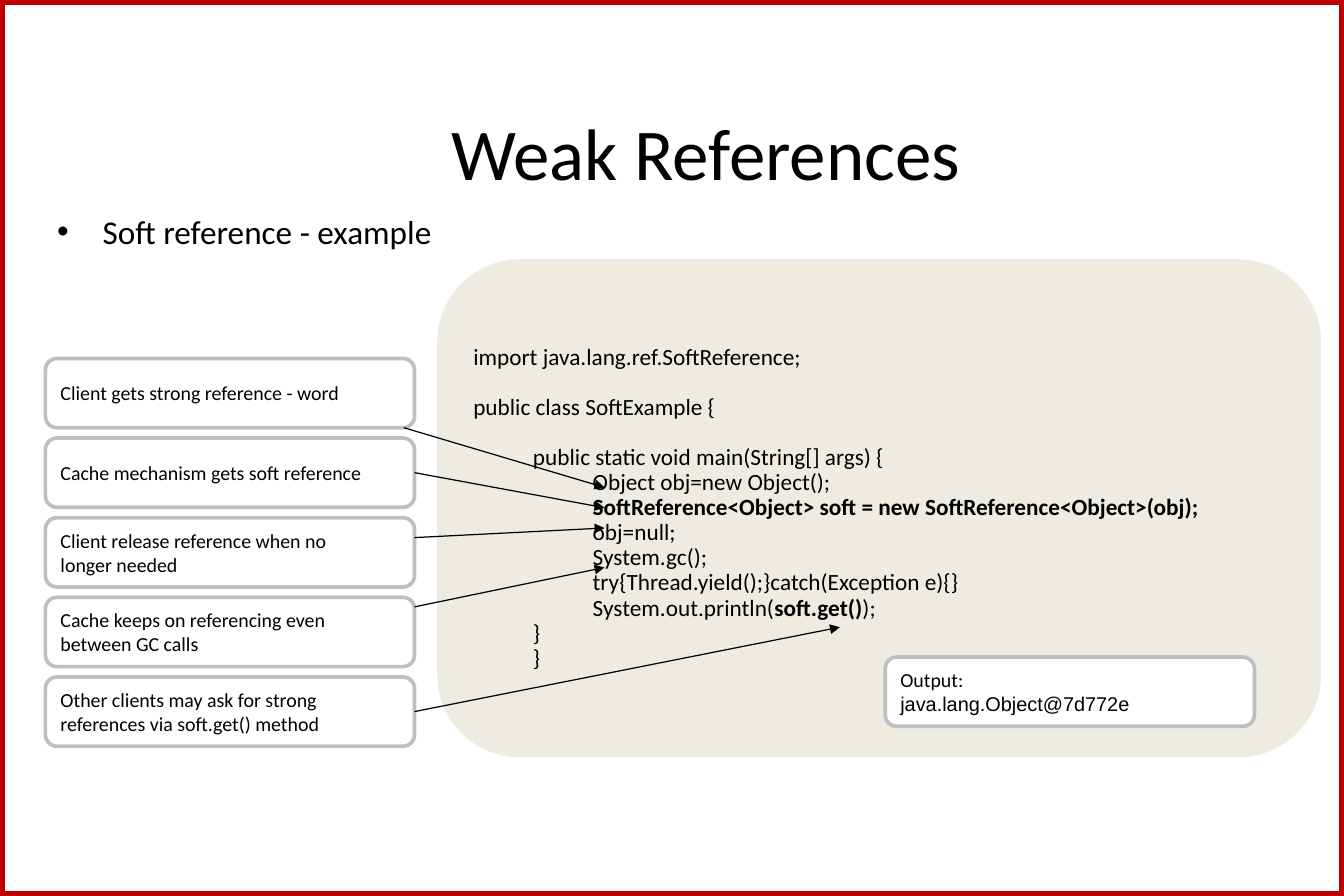
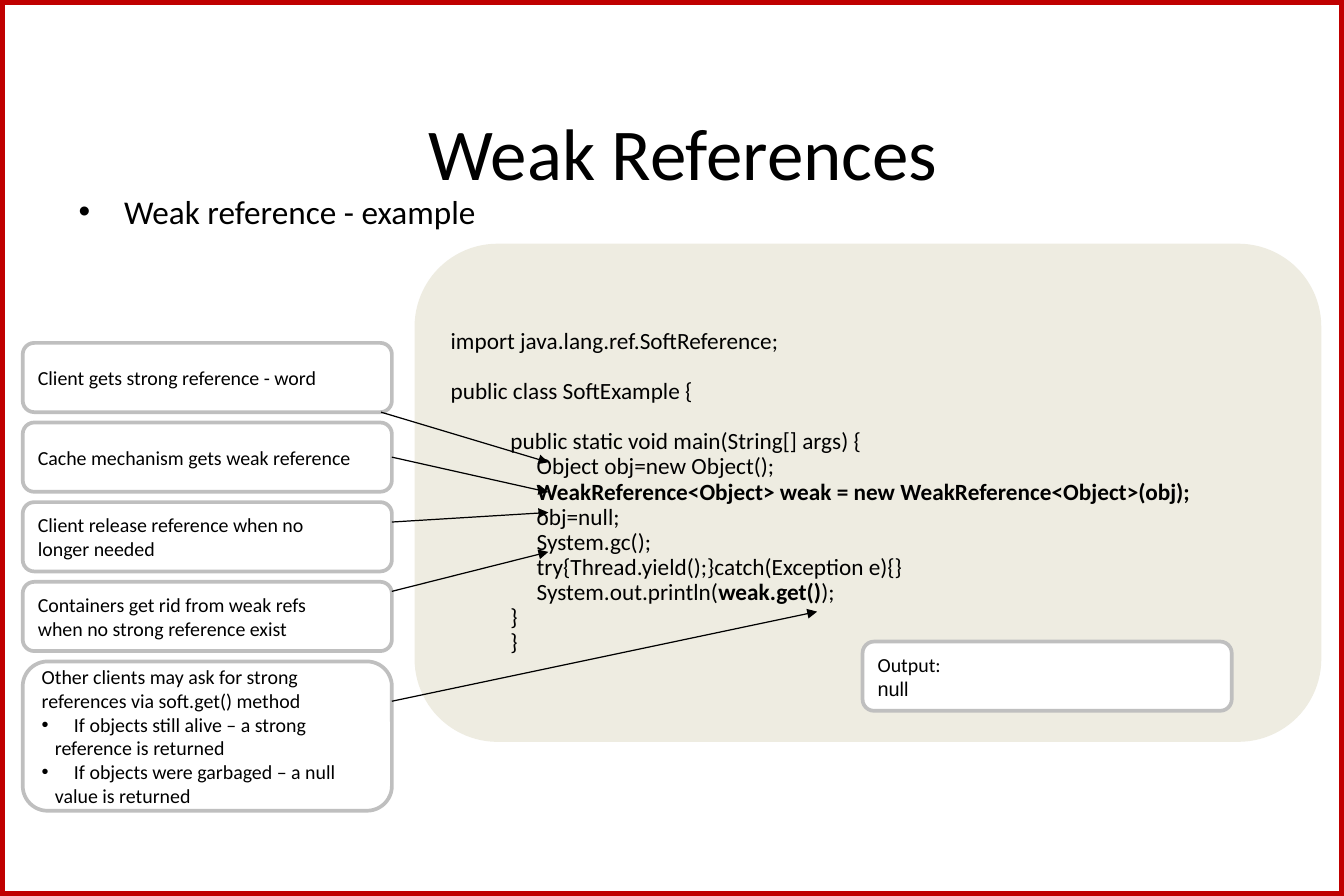
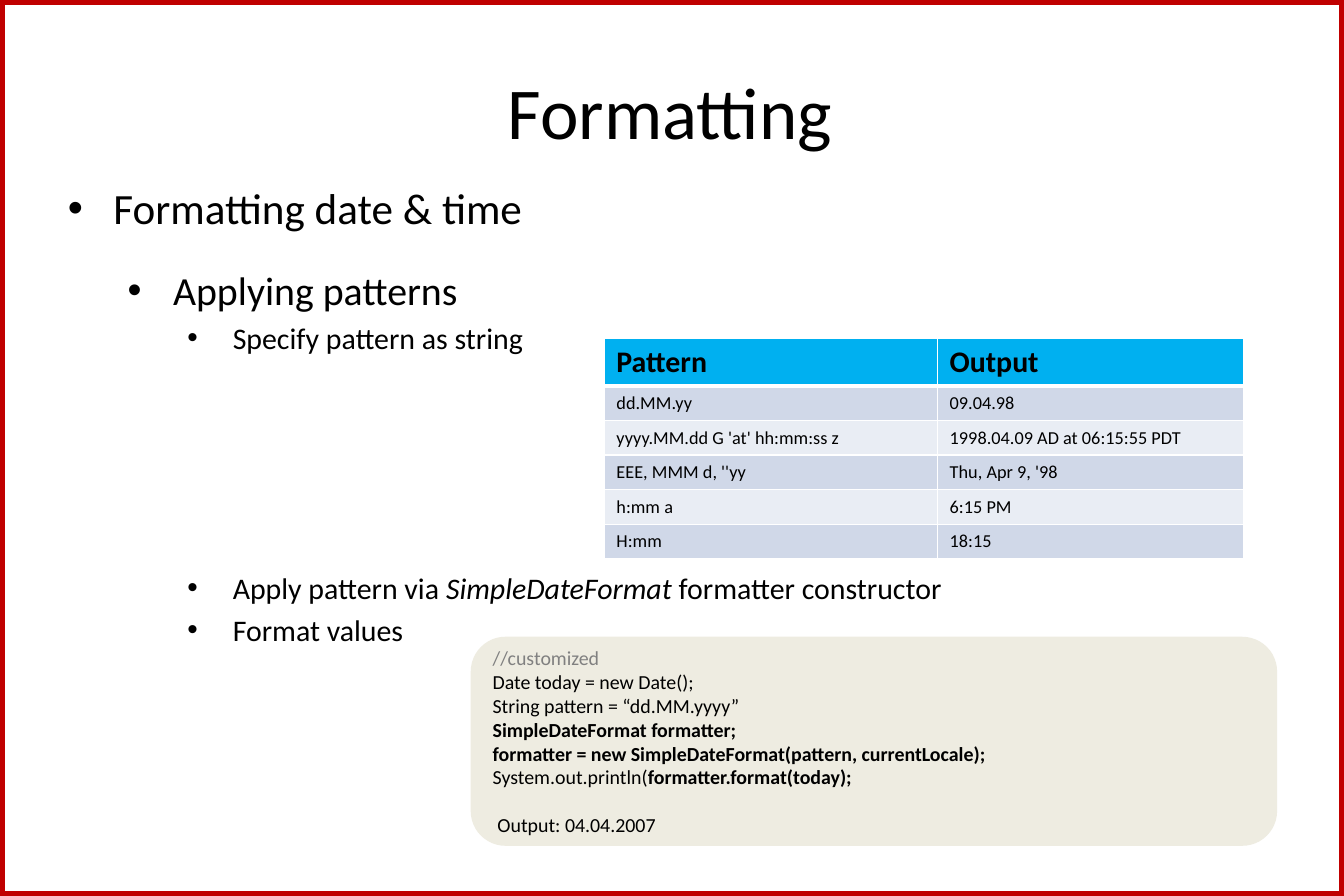
from lxml import etree
from pptx import Presentation
from pptx import util as u
from pptx.dml.color import RGBColor
from pptx.enum import shapes, text
from pptx.oxml import ns

BLACK, WHITE, RED = "000000", "FFFFFF", "C00000"
SAND, SILVER, GRAY = "EEECE1", "BFBFBF", "808080"
HEADER, BAND_DARK, BAND_LIGHT = "00B0F0", "D0D8E8", "E9EDF4"
ROUNDED = shapes.MSO_SHAPE.FLOWCHART_ALTERNATE_PROCESS
BOX_WIDTH, BOX_HEIGHT, BOX_STEP = 3.09, 0.58, 2 / 3


def paint(color_format, color):
    color_format.rgb = RGBColor.from_string(color)


def add_xml(parent, tag, **attributes):
    return etree.SubElement(parent, ns.qn(tag), attributes)


def line(*spans, **layout):
    return spans, layout


def bold(words):
    return words, {"bold": True}


def add_bullet(para):
    properties = para._p.get_or_add_pPr()
    add_xml(properties, "a:buFont", typeface="Arial")
    add_xml(properties, "a:buChar", char="•")


def set_indent(para, left, first):
    properties = para._p.get_or_add_pPr()
    properties.set("marL", str(u.Inches(left)))
    properties.set("indent", str(u.Inches(first)))


def write_span(para, words, font):
    span = para.add_run()
    span.text = words
    values = {"name": "Calibri", "color": BLACK, **font}
    paint(span.font.color, values.pop("color"))
    values["size"] = u.Pt(values["size"])
    for key, value in values.items():
        setattr(span.font, key, value)


def write(frame, lines, spacing=1.0, align=text.PP_ALIGN.LEFT, **font):
    for index, (spans, layout) in enumerate(lines):
        para = frame.add_paragraph() if index else frame.paragraphs[0]
        set_indent(para, layout.get("left", 0), layout.get("first", 0))
        if layout.get("bullet"):
            add_bullet(para)
        formats = {
            "alignment": align,
            "line_spacing": spacing,
            "space_before": u.Pt(layout.get("before", 0)),
        }
        for key, value in formats.items():
            setattr(para, key, value)
        for span in spans:
            words, changes = (span, {}) if isinstance(span, str) else span
            write_span(para, words, {**font, "size": layout.get("size", font.get("size")), **changes})


def add_box(page, kind, place, fill=None, outline=None, width=2.25):
    box = page.shapes.add_shape(kind, *map(u.Inches, place))
    box.shadow.inherit = False
    if fill:
        box.fill.solid()
        paint(box.fill.fore_color, fill)
    else:
        box.fill.background()
    if outline:
        paint(box.line.color, outline)
        box.line.width = u.Pt(width)
    else:
        box.line.fill.background()
    box.text_frame.word_wrap = True
    return box


def add_callout(page, place, lines):
    box = add_box(page, ROUNDED, place, WHITE, SILVER)
    write(box.text_frame, lines, size=12)
    return box


def add_code(page, place, lines, size, spacing=1.0):
    panel = add_box(page, ROUNDED, place, SAND)
    write(panel.text_frame, lines, spacing, size=size)


def add_outline(page, place, lines):
    box = page.shapes.add_textbox(*map(u.Inches, place))
    box.text_frame.word_wrap = True
    write(box.text_frame, lines, size=20)


def add_arrow(page, start, end):
    arrow = page.shapes.add_connector(
        shapes.MSO_CONNECTOR.STRAIGHT, *map(u.Inches, (*start, *end)))
    paint(arrow.line.color, BLACK)
    arrow.line.width = u.Pt(0.75)
    add_xml(arrow.line._get_or_add_ln(), "a:tailEnd", type="triangle")
    add_xml(arrow.element.spPr, "a:effectLst")
    return arrow


def add_page(deck, title, place):
    page = deck.slides.add_slide(deck.slide_layouts[5])
    holder = page.shapes.title
    for key, value in zip(("left", "top", "width", "height"), place):
        setattr(holder, key, u.Inches(value))
    frame = holder.text_frame
    frame.auto_size = text.MSO_AUTO_SIZE.NONE
    frame.vertical_anchor = text.MSO_ANCHOR.MIDDLE
    write(frame, [line(title)], align=text.PP_ALIGN.CENTER, size=44)
    return page


def add_border_to_layout(page):
    border = add_box(page, shapes.MSO_SHAPE.RECTANGLE, (0, 0, 11.25, 7.5), None, RED, 5.5)
    border.element.nvSpPr.cNvPr.set("id", "20")
    page.slide_layout.shapes.element.append(border.element)


def reference_code(kind, name, body):
    statements = [
        ("Object obj=new Object();",),
        (bold(f"{kind}<Object> {name} = new {kind}<Object>(obj);"),),
        ("obj=null;",),
        ("System.gc();",),
        ("try{Thread.yield();}catch(Exception e){}",),
        ("System.out.println(", bold(f"{name}.get()"), ");"),
    ]
    return [
        line("import java.lang.ref.SoftReference;"),
        line("public class SoftExample {", before=15),
        line("public static void main(String[] args) {", left=0.5, before=15),
        *(line(*spans, left=body) for spans in statements),
        line("}", left=0.5),
        line("}", left=0.5),
    ]


def add_reference_page(deck, left, top, heading, code, callouts, output, target, first_end, last_height):
    page = add_page(deck, "Weak References", (left + 0.09, 0.83, 10.88, 0.88))
    words, place = heading
    add_outline(page, (*place, 10.12, 0.45), [line(words, left=0.38, first=-0.38, bullet=True)])
    panel_left = left + 3.28
    add_code(page, (panel_left, top - 0.83, 11.06 - panel_left, 4.17), code, 14, 0.9)

    boxes = []
    for index, lines in enumerate(callouts):
        height = last_height if index == len(callouts) - 1 else BOX_HEIGHT
        place = (left, top + index * BOX_STEP, BOX_WIDTH, height)
        boxes.append(add_callout(page, place, lines))
    add_callout(page, (left + 7.03, top + 2.5, BOX_WIDTH, BOX_HEIGHT),
                [line("Output:"), line((output, {"name": "Arial"}))])

    right = left + BOX_WIDTH
    arrows = [
        (left + 3, 0.58, target, first_end),
        (right, 0.92, target, 1.25),
        (right, 1.5, target, 1.42),
        (right, 2.08, target, 1.75),
        (right, 3, left + 6.65, 2.25),
    ]
    for box, (x1, y1, x2, y2) in zip(boxes, arrows):
        arrow = add_arrow(page, (x1, top + y1), (x2, top + y2))
        middle = box.top + box.height / 2
        if abs(middle - u.Inches(top + y1)) < u.Inches(0.05):
            arrow.begin_connect(box, 3)
    return page


def set_cell_borders(cell, **widths):
    properties = cell._tc.get_or_add_tcPr()
    for index, side in enumerate(("lnL", "lnR", "lnT", "lnB")):
        edge = etree.Element(ns.qn(f"a:{side}"), w=str(u.Pt(widths.get(side, 1))))
        add_xml(add_xml(edge, "a:solidFill"), "a:srgbClr", val=WHITE)
        properties.insert(index, edge)


def add_pattern_table(page, rows):
    table = page.shapes.add_table(
        len(rows), 2, *map(u.Inches, (5.06, 2.83, 5.35, 1.85))).table
    for column, width in zip(table.columns, (2.79, 2.56)):
        column.width = u.Inches(width)
    for index, values in enumerate(rows):
        header = index == 0
        table.rows[index].height = u.Inches(0.4 if header else 0.29)
        fill = HEADER if header else (BAND_LIGHT, BAND_DARK)[index % 2]
        for cell, value in zip(table.rows[index].cells, values):
            cell.fill.solid()
            paint(cell.fill.fore_color, fill)
            cell.vertical_anchor = text.MSO_ANCHOR.TOP if header else text.MSO_ANCHOR.MIDDLE
            write(cell.text_frame, [line(value)], size=18 if header else 11, bold=header)
            set_cell_borders(cell, lnT=3 if index == 1 else 1, lnB=3 if header else 1)


def add_formatting_page(deck):
    page = add_page(deck, "Formatting", (0.55, 0.3, 10.12, 1.25))
    third = {"left": 1.38, "first": -0.38, "bullet": True, "size": 18}
    add_outline(page, (0.47, 1.47, 10.69, 4.1), [
        line("Formatting date & time", left=0.38, first=-0.38, bullet=True, size=26),
        line("Applying patterns", left=0.88, first=-0.38, bullet=True, size=24, before=19.5),
        line("Specify pattern as string", before=3.6, **third),
        line("Apply pattern via ", ("SimpleDateFormat", {"italic": True}),
             " formatter constructor", before=129.3, **third),
        line("Format values", before=3.6, **third),
    ])
    add_pattern_table(page, [
        ("Pattern", "Output"),
        ("dd.MM.yy", "09.04.98"),
        ("yyyy.MM.dd G 'at' hh:mm:ss z", "1998.04.09 AD at 06:15:55 PDT"),
        ("EEE, MMM d, ''yy", "Thu, Apr 9, '98"),
        ("h:mm a", "6:15 PM"),
        ("H:mm", "18:15"),
    ])
    add_code(page, (3.94, 5.33, 6.75, 1.75), [
        line(("//customized", {"color": GRAY})),
        line("Date today = new Date();"),
        line("String pattern = “dd.MM.yyyy”"),
        line(bold("SimpleDateFormat formatter;")),
        line(bold("formatter = new SimpleDateFormat(pattern, currentLocale);")),
        line("System.out.println(", bold("formatter.format(today);")),
        line("Output: 04.04.2007", left=0.04, before=14.5),
    ], 12)


def main():
    deck = Presentation()
    deck.slide_width, deck.slide_height = u.Inches(11.25), u.Inches(7.5)

    strong = [line("Client gets strong reference - word")]
    release = [line("Client release reference when no"), line("longer needed")]
    others = [line("Other clients may ask for strong"), line("references via soft.get() method")]
    outcome = {"left": 0.27, "first": -0.27, "bullet": True}

    soft_page = add_reference_page(
        deck, 0.38, 3, ("Soft reference - example", (0.38, 1.72)),
        reference_code("SoftReference", "soft", 1),
        [strong,
         [line("Cache mechanism gets soft reference")],
         release,
         [line("Cache keeps on referencing even"), line("between GC calls")],
         others],
        "java.lang.Object@7d772e", target=5.06, first_end=1.08, last_height=BOX_HEIGHT)
    add_border_to_layout(soft_page)

    add_reference_page(
        deck, 0.19, 2.87, ("Weak reference - example", (0.56, 1.55)),
        reference_code("WeakReference", "weak", 0.72),
        [strong,
         [line("Cache mechanism gets weak reference")],
         release,
         [line("Containers get rid from weak refs"), line("when no strong reference exist")],
         others + [
             line("If objects still alive – a strong", **outcome),
             line("reference is returned", left=0.11),
             line("If objects were garbaged – a null", **outcome),
             line("value is returned", left=0.11)]],
        "null", target=4.59, first_end=1, last_height=1.25)

    add_formatting_page(deck)
    deck.save("out.pptx")


if __name__ == "__main__":
    main()
